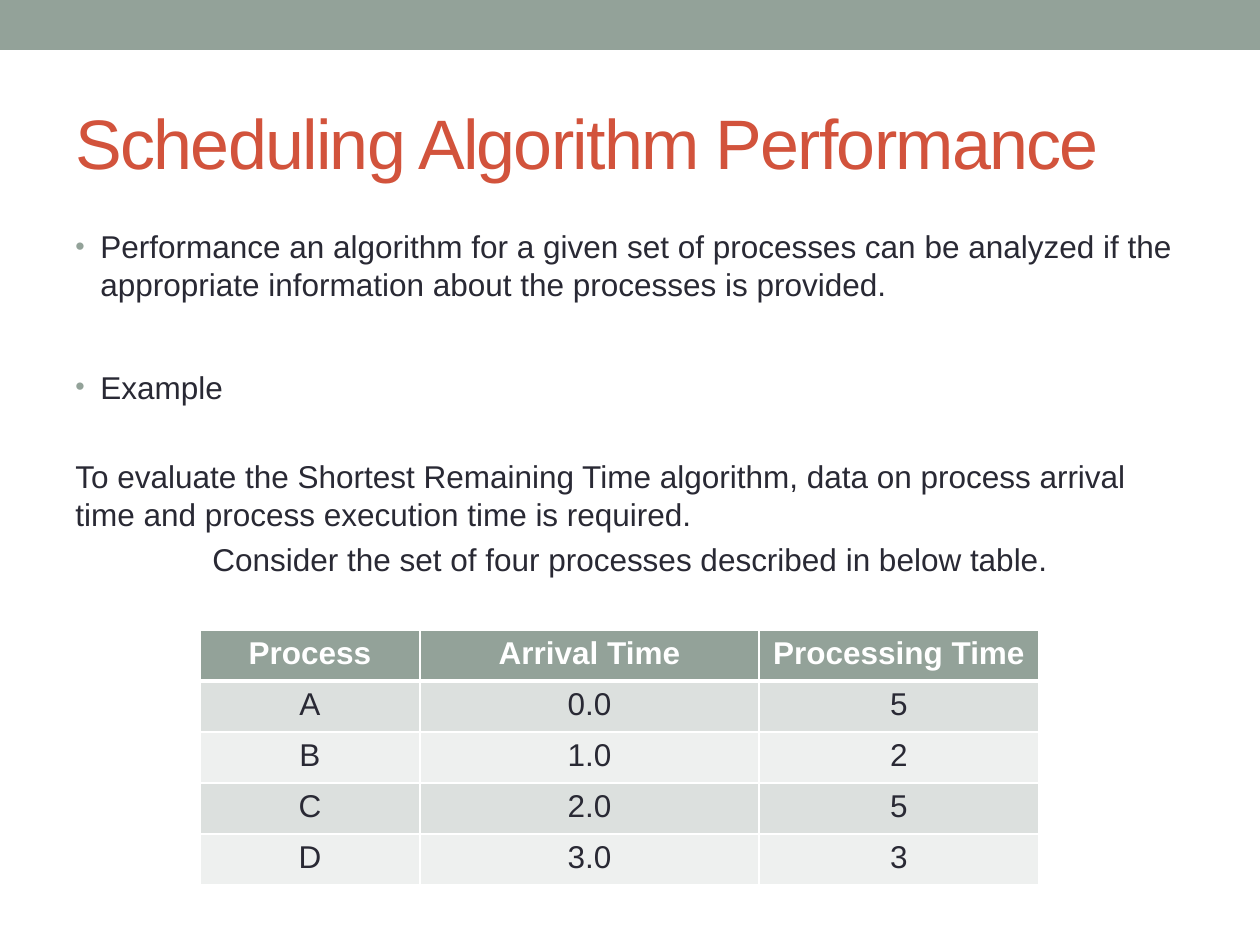
from dataclasses import dataclass

from lxml.etree import SubElement
from pptx import Presentation
from pptx.dml.color import RGBColor
from pptx.enum.shapes import MSO_SHAPE
from pptx.enum.text import MSO_ANCHOR, MSO_AUTO_SIZE, PP_ALIGN
from pptx.oxml.ns import qn
from pptx.util import Emu, Pt

SAGE = RGBColor(0x93, 0xA2, 0x99)
RUST = RGBColor(0xD2, 0x53, 0x3C)
INK = RGBColor(0x29, 0x29, 0x34)
WHITE = RGBColor(0xFF, 0xFF, 0xFF)
BAND_DARK = RGBColor(0xDC, 0xE0, 0xDE)
BAND_LIGHT = RGBColor(0xEE, 0xF0, 0xEF)

FONT = "Arial"
PIXELS_PER_INCH = 126
BULLET_INDENT = 25
ROW_HEIGHT = 51
COLUMN_WIDTHS = (220, 339, 280)


@dataclass(frozen=True)
class BodyLine:
    text: str
    space_before: float
    bullet: bool = False
    align: PP_ALIGN = PP_ALIGN.LEFT


BODY = (
    BodyLine("Performance an algorithm for a given set of processes can be analyzed "
             "if the appropriate information about the processes is provided.", 4, bullet=True),
    BodyLine("Example", 37, bullet=True),
    BodyLine("To evaluate the Shortest Remaining Time algorithm, data on process arrival "
             "time and process execution time is required.", 29.5),
    BodyLine("Consider the set of four processes described in below table.", 4.4,
             align=PP_ALIGN.CENTER),
)

PROCESSES = (
    ("Process", "Arrival Time", "Processing Time"),
    ("A", "0.0", "5"),
    ("B", "1.0", "2"),
    ("C", "2.0", "5"),
    ("D", "3.0", "3"),
)


def px(length: int) -> Emu:
    return Emu(round(length * 914400 / PIXELS_PER_INCH))


def write(para, text: str, size: int, color: RGBColor, align: PP_ALIGN, bold: bool = False):
    para.alignment = align
    span = para.add_run()
    span.text = text
    for name, value in {"name": FONT, "size": Pt(size), "bold": bold}.items():
        setattr(span.font, name, value)
    span.font.color.rgb = color
    return span


def add_bullet(para) -> None:
    properties = para._p.get_or_add_pPr()
    properties.set("marL", str(px(BULLET_INDENT)))
    properties.set("indent", str(-px(BULLET_INDENT)))
    color = SubElement(properties, qn("a:buClr"))
    SubElement(color, qn("a:srgbClr"), val=str(SAGE))
    SubElement(properties, qn("a:buSzPct"), val="85000")
    SubElement(properties, qn("a:buFont"), typeface=FONT)
    SubElement(properties, qn("a:buChar"), char="•")


def set_borders(cell, widths: dict[str, int]) -> None:
    """Give the cell white borders; call before filling, since the fill must follow them."""
    properties = cell._tc.get_or_add_tcPr()
    for side, width in widths.items():
        line = SubElement(properties, qn(f"a:ln{side}"), w=str(Pt(width)))
        fill = SubElement(line, qn("a:solidFill"))
        SubElement(fill, qn("a:srgbClr"), val=str(WHITE))


def add_top_bar(page) -> None:
    bar = page.shapes.add_shape(MSO_SHAPE.RECTANGLE, 0, 0, px(1260), px(50))
    bar.shadow.inherit = False
    bar.fill.solid()
    bar.fill.fore_color.rgb = SAGE
    bar.line.fill.background()


def add_title(page) -> None:
    title = page.shapes.title
    place = {"left": 63, "top": 73, "width": 1134, "height": 136}
    for name, value in place.items():
        setattr(title, name, px(value))
    frame = title.text_frame
    frame.auto_size = MSO_AUTO_SIZE.NONE
    frame.vertical_anchor = MSO_ANCHOR.MIDDLE
    span = write(frame.paragraphs[0], "Scheduling Algorithm Performance", 40, RUST, PP_ALIGN.LEFT)
    span.font._element.set("spc", "-100")


def add_body(page) -> None:
    box = page.shapes.add_textbox(px(63), px(221), px(1134), px(672))
    frame = box.text_frame
    frame.word_wrap = True
    for index, line in enumerate(BODY):
        para = frame.add_paragraph() if index else frame.paragraphs[0]
        para.space_before = Pt(line.space_before)
        write(para, line.text, 18, INK, line.align)
        if line.bullet:
            add_bullet(para)


def add_process_table(page) -> None:
    table = page.shapes.add_table(
        len(PROCESSES), len(COLUMN_WIDTHS), px(200), px(630),
        px(sum(COLUMN_WIDTHS)), px(ROW_HEIGHT * len(PROCESSES))).table
    table.horz_banding = False
    for column, width in zip(table.columns, COLUMN_WIDTHS):
        column.width = px(width)
    for index, values in enumerate(PROCESSES):
        header = index == 0
        table.rows[index].height = px(ROW_HEIGHT)
        fill = SAGE if header else BAND_DARK if index % 2 else BAND_LIGHT
        borders = {"L": 1, "R": 1, "T": 3 if index == 1 else 1, "B": 3 if header else 1}
        for cell, value in zip(table.rows[index].cells, values):
            set_borders(cell, borders)
            cell.fill.solid()
            cell.fill.fore_color.rgb = fill
            write(cell.text_frame.paragraphs[0], value, 18, WHITE if header else INK,
                  PP_ALIGN.CENTER, bold=header)


def main() -> None:
    deck = Presentation()
    deck.slide_width, deck.slide_height = px(1260), px(945)
    page = deck.slides.add_slide(deck.slide_layouts[5])
    add_top_bar(page)
    add_title(page)
    add_body(page)
    add_process_table(page)
    deck.save("out.pptx")


if __name__ == "__main__":
    main()
